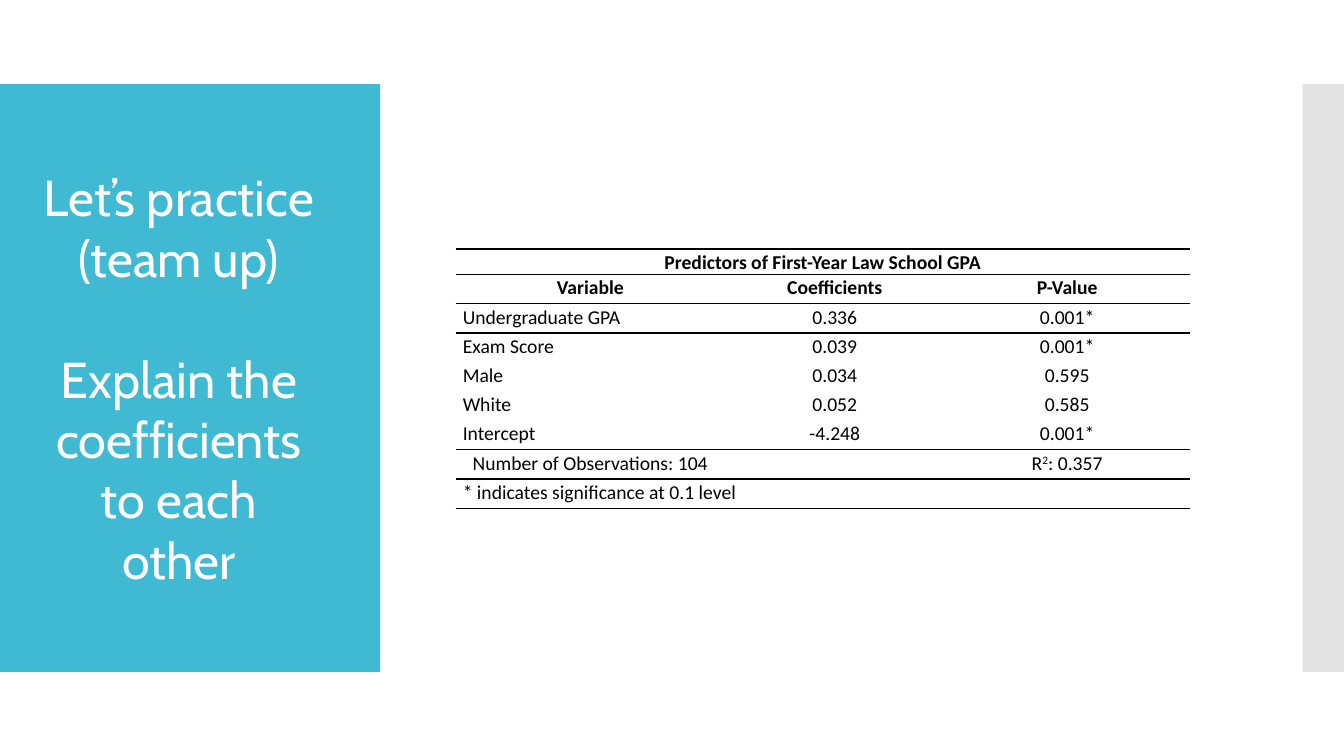
import pptx
import pptx.dml.color
import pptx.enum.shapes
import pptx.enum.text
import pptx.oxml
import pptx.oxml.ns
import pptx.util
from lxml import etree

WIDTH, HEIGHT = 13.33, 7.5
BAND_TOP, BAND_HEIGHT = HEIGHT / 9, HEIGHT * 7 / 9
NO_STYLE = "{2D5ABB26-0587-4C30-8999-92F81FD0307C}"
COLUMN_WIDTHS = (2.67, 2.18, 2.43)
CAPTION_HEIGHT, ROW_HEIGHT = 0.25, 0.29
REGRESSION = [
    ("Predictors of First-Year Law School GPA", "", ""),
    ("Variable", "Coefficients", "P-Value"),
    ("Undergraduate GPA", "0.336", "0.001*"),
    ("Exam Score", "0.039", "0.001*"),
    ("Male", "0.034", "0.595"),
    ("White", "0.052", "0.585"),
    ("Intercept", "-4.248", "0.001*"),
    ("Number of Observations: 104", "", "R^2^: 0.357"),
    ("* indicates significance at 0.1 level", "", ""),
]
HEADER_ROWS = (0, 1)
MERGED_ROWS = (0, 8)
SUMMARY_ROW = 7
RULED_BELOW = (0, 1, 6, 8)

inches = pptx.util.Inches
points = pptx.util.Pt
CENTER = pptx.enum.text.PP_ALIGN.CENTER


def color(hex_code):
    return pptx.dml.color.RGBColor.from_string(hex_code)


def style_font(font, name, size, hex_code, bold=False):
    font.name, font.size, font.bold = name, points(size), bold
    font.color.rgb = color(hex_code)


def add_band(slide, left, width, hex_code, opacity=100):
    band = slide.shapes.add_shape(
        pptx.enum.shapes.MSO_SHAPE.RECTANGLE,
        inches(left), inches(BAND_TOP), inches(width), inches(BAND_HEIGHT))
    band.shadow.inherit = False
    band.line.fill.background()
    band.fill.solid()
    band.fill.fore_color.rgb = color(hex_code)
    if opacity < 100:
        tint = band.fill._xPr.find(".//" + pptx.oxml.ns.qn("a:srgbClr"))
        etree.SubElement(tint, pptx.oxml.ns.qn("a:alpha"), val=str(opacity * 1000))


def fill_title(slide, left, top, width, height):
    title = slide.shapes.title
    title.left, title.top = inches(left), inches(top)
    title.width, title.height = inches(width), inches(height)
    frame = title.text_frame
    frame.text = "Let’s practice (team up)\nExplain the coefficients to each other"
    frame.word_wrap = True
    frame.auto_size = pptx.enum.text.MSO_AUTO_SIZE.NONE
    frame.vertical_anchor = pptx.enum.text.MSO_ANCHOR.MIDDLE
    for paragraph in frame.paragraphs:
        paragraph.alignment = CENTER
        for run in paragraph.runs:
            style_font(run.font, "Cabin", 36, "FFFFFF")
    frame.paragraphs[1].space_before = points(43)


def rule_cell(cell, side):
    """Draw a black one-point border on side T or B."""
    border = pptx.oxml.parse_xml(
        f'<a:ln{side} {pptx.oxml.ns.nsdecls("a")} w="12700"><a:solidFill>'
        f'<a:srgbClr val="000000"/></a:solidFill></a:ln{side}>')
    cell._tc.get_or_add_tcPr().insert(0, border)


def write_cell(cell, text, centered, bold):
    """Write text, raising what stands between carets."""
    cell.margin_left = cell.margin_right = inches(0.07)
    cell.margin_top = cell.margin_bottom = 0
    cell.fill.background()
    paragraph = cell.text_frame.paragraphs[0]
    paragraph.line_spacing = 1.07
    if centered:
        paragraph.alignment = CENTER
    if not text:
        etree.SubElement(paragraph._p, pptx.oxml.ns.qn("a:endParaRPr"), sz="1400")
        return
    for index, part in enumerate(text.split("^")):
        run = paragraph.add_run()
        run.text = part
        style_font(run.font, "Calibri", 14, "000000", bold)
        if index % 2:
            run.font._element.set("baseline", "30000")


def add_regression_table(slide, left, top):
    height = CAPTION_HEIGHT + ROW_HEIGHT * (len(REGRESSION) - 1)
    frame = slide.shapes.add_table(
        len(REGRESSION), len(COLUMN_WIDTHS), inches(left), inches(top),
        inches(sum(COLUMN_WIDTHS)), inches(height))
    table = frame.table
    table.first_row = table.horz_banding = False
    table._tbl.tblPr.find(pptx.oxml.ns.qn("a:tableStyleId")).text = NO_STYLE
    for column, width in zip(table.columns, COLUMN_WIDTHS):
        column.width = inches(width)
    for r, texts in enumerate(REGRESSION):
        table.rows[r].height = inches(ROW_HEIGHT if r else CAPTION_HEIGHT)
        if r in MERGED_ROWS:
            table.cell(r, 0).merge(table.cell(r, len(COLUMN_WIDTHS) - 1))
        for c, text in enumerate(texts):
            cell = table.cell(r, c)
            centered = c > 0 or r in HEADER_ROWS or r == SUMMARY_ROW
            write_cell(cell, text, centered, r in HEADER_ROWS)
            if r in RULED_BELOW:
                rule_cell(cell, "B")
            if r == 0 or r - 1 in RULED_BELOW:
                rule_cell(cell, "T")


def main():
    deck = pptx.Presentation()
    deck.slide_width, deck.slide_height = inches(WIDTH), inches(HEIGHT)
    slide = deck.slides.add_slide(deck.slide_layouts[5])
    add_band(slide, 0, 3.77, "40BAD2")
    add_band(slide, WIDTH - 0.41, 0.41, "C8C8C8", opacity=50)
    add_regression_table(slide, 4.52, 2.47)
    fill_title(slide, 0.31, 1.58, 2.93, 4.34)
    # The title stands in front of its band
    slide.shapes._spTree.append(slide.shapes.title._element)
    deck.save("out.pptx")


if __name__ == "__main__":
    main()
